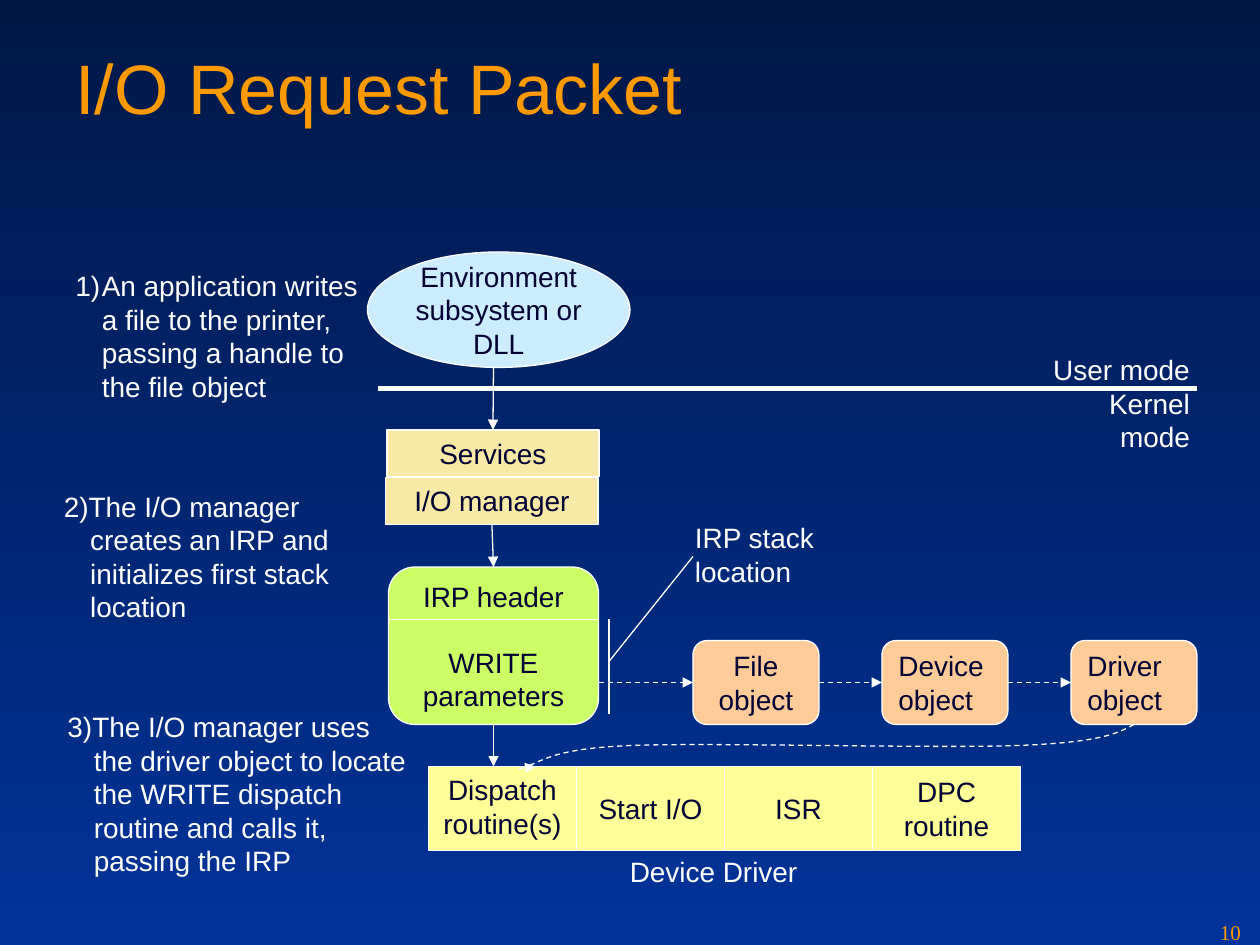
from dataclasses import dataclass
from typing import Optional

import pptx
import pptx.dml.color
import pptx.enum.dml
import pptx.enum.shapes
import pptx.enum.text
import pptx.oxml
import pptx.oxml.ns
import pptx.util

COLORS = {
    "night": "001746", "blue": "003399", "orange": "FE9900", "white": "FFFFFF",
    "ink": "000033", "sky": "CCECFF", "sand": "F9E9A7", "lime": "CCFF66",
    "peach": "FFCC99", "yellow": "FFFF99",
}
CELL = pptx.util.Inches(10) / 120
SHAPE = pptx.enum.shapes.MSO_SHAPE
ALIGN = pptx.enum.text.PP_ALIGN
ANCHOR = pptx.enum.text.MSO_ANCHOR
TOP, LEFT, BOTTOM, RIGHT = range(4)


@dataclass
class Block:
    text: str
    col: float
    row: float
    cols: float
    rows: float
    fill: str
    kind: int = SHAPE.RECTANGLE
    align: int = ALIGN.CENTER
    anchor: int = ANCHOR.MIDDLE
    wrap: bool = True


@dataclass
class Label:
    text: str
    col: float
    row: float
    cols: float
    rows: float
    align: int = ALIGN.LEFT
    hanging: bool = False


@dataclass
class Link:
    start: tuple
    end: tuple
    arrow: bool = False
    dashed: bool = False
    width: float = 0.75
    begin_at: Optional[tuple] = None
    end_at: Optional[tuple] = None


def grid(*cells: float) -> list:
    return [pptx.util.Emu(round(cell * CELL)) for cell in cells]


def color(name: str):
    return pptx.dml.color.RGBColor.from_string(COLORS[name])


def style_text(frame, ink: str, align: int, size: float = 16, face: str = "Arial") -> None:
    for paragraph in frame.paragraphs:
        paragraph.alignment = align
        for run in paragraph.runs:
            run.font.size = pptx.util.Pt(size)
            run.font.name = face
            run.font.color.rgb = color(ink)


def style_line(line, width: float = 0.75, dashed: bool = False, arrow: bool = False) -> None:
    line.color.rgb = color("white")
    line.width = pptx.util.Pt(width)
    if dashed:
        line.dash_style = pptx.enum.dml.MSO_LINE.DASH
    if arrow:
        tail = pptx.oxml.parse_xml(
            f'<a:tailEnd {pptx.oxml.ns.nsdecls("a")} type="triangle"/>')
        line._get_or_add_ln().append(tail)


def add_block(slide, block: Block):
    shape = slide.shapes.add_shape(
        block.kind, *grid(block.col, block.row, block.cols, block.rows))
    shape.shadow.inherit = False
    shape.fill.solid()
    shape.fill.fore_color.rgb = color(block.fill)
    style_line(shape.line)
    frame = shape.text_frame
    frame.text = block.text
    frame.word_wrap = block.wrap
    frame.vertical_anchor = block.anchor
    style_text(frame, "ink", block.align)
    return shape


def add_label(slide, label: Label):
    box = slide.shapes.add_textbox(*grid(label.col, label.row, label.cols, label.rows))
    frame = box.text_frame
    frame.text = label.text
    frame.word_wrap = False
    frame.auto_size = pptx.enum.text.MSO_AUTO_SIZE.SHAPE_TO_FIT_TEXT
    if label.hanging:
        properties = frame.paragraphs[0]._p.get_or_add_pPr()
        properties.set("marL", str(pptx.util.Inches(0.21)))
        properties.set("indent", str(-pptx.util.Inches(0.21)))
    style_text(frame, "white", label.align)
    return box


def number_steps(box) -> None:
    properties = box.text_frame.paragraphs[0]._p.get_or_add_pPr()
    namespace = pptx.oxml.ns.nsdecls("a")
    for bullet in (
        f'<a:buClr {namespace}><a:srgbClr val="{COLORS["white"]}"/></a:buClr>',
        f'<a:buFont {namespace} typeface="Arial"/>',
        f'<a:buAutoNum {namespace} type="arabicParenR"/>',
    ):
        properties.append(pptx.oxml.parse_xml(bullet))


def add_link(slide, link: Link) -> None:
    connector = slide.shapes.add_connector(
        pptx.enum.shapes.MSO_CONNECTOR.STRAIGHT, *grid(*link.start, *link.end))
    if link.begin_at:
        connector.begin_connect(*link.begin_at)
    if link.end_at:
        connector.end_connect(*link.end_at)
    style_line(connector.line, link.width, link.dashed, link.arrow)
    connector._element.spPr.append(
        pptx.oxml.parse_xml(f'<a:effectLst {pptx.oxml.ns.nsdecls("a")}/>'))


def add_curve(slide, start: tuple, bends: list, steps: int = 12) -> None:
    points = []
    here = start
    for first, second, end in bends:
        for step in range(1, steps + 1):
            t = step / steps
            weights = ((1 - t) ** 3, 3 * t * (1 - t) ** 2, 3 * t * t * (1 - t), t ** 3)
            corners = (here, first, second, end)
            points.append(grid(*(sum(w * c[axis] for w, c in zip(weights, corners))
                                 for axis in (0, 1))))
        here = end
    builder = slide.shapes.build_freeform(*grid(*start))
    builder.add_line_segments(points, close=False)
    curve = builder.convert_to_shape()
    curve.shadow.inherit = False
    curve.fill.background()
    style_line(curve.line, dashed=True, arrow=True)


def main() -> None:
    deck = pptx.Presentation()
    deck.slide_width, deck.slide_height = grid(120, 90)
    slide = deck.slides.add_slide(deck.slide_layouts[5])
    backdrop = slide.background.fill
    backdrop.gradient()
    backdrop.gradient_angle = 270
    for stop, name in zip(backdrop.gradient_stops, ("night", "blue")):
        stop.color.rgb = color(name)

    title = slide.shapes.title
    title.left, title.top, title.width, title.height = grid(6, 2.88, 108, 15)
    title.text_frame.text = "I/O Request Packet"
    title.text_frame.vertical_anchor = ANCHOR.TOP
    title.text_frame.margin_top = pptx.util.Inches(0.11)
    style_text(title.text_frame, "orange", ALIGN.LEFT, 40)

    add_block(slide, Block("Environment\vsubsystem or\vDLL", 35, 24, 25, 11, "sky",
                           SHAPE.OVAL, wrap=False))
    services, manager = [
        add_block(slide, Block(text, col, row, 20.2, 4.44, "sand", anchor=ANCHOR.TOP))
        for text, col, row in (("Services", 36.85, 40.95), ("I/O manager", 36.75, 45.5))]
    packet = add_block(slide, Block("IRP header\nWRITE\nparameters", 37, 54, 20, 15, "lime",
                                    SHAPE.ROUNDED_RECTANGLE, wrap=False))
    packet.text_frame.paragraphs[1].space_before = pptx.util.Pt(18.4)
    add_link(slide, Link((37, 59), (57, 59)))

    file_object, device_object, driver_object = [
        add_block(slide, Block(f"{owner}\vobject", 66 + 18 * index, 61, 12, 8, "peach",
                               SHAPE.ROUNDED_RECTANGLE, align, wrap=False))
        for index, (owner, align) in enumerate((
            ("File", ALIGN.CENTER), ("Device", ALIGN.LEFT), ("Driver", ALIGN.LEFT)))]
    routines = ("Dispatch\vroutine(s)", "Start I/O", "ISR", "DPC routine")
    for index, routine in enumerate(routines):
        anchor = ANCHOR.MIDDLE if index else ANCHOR.TOP
        add_block(slide, Block(routine, 40.8 + 14.1 * index, 73, 14.1, 8, "yellow",
                               anchor=anchor))

    for link in (
        Link((57, 65), (66, 65), True, True, end_at=(file_object, LEFT)),
        Link((78, 65), (84, 65), True, True, 0.75, (file_object, RIGHT), (device_object, LEFT)),
        Link((96, 65), (102, 65), True, True, 0.75, (device_object, RIGHT), (driver_object, LEFT)),
        Link((47, 35), (47, 41), True, end_at=(services, TOP)),
        Link((47, 50), (47, 54), True, begin_at=(manager, BOTTOM), end_at=(packet, TOP)),
        Link((47, 69), (47, 73), True, begin_at=(packet, BOTTOM)),
        Link((58, 59), (58, 68)),
        Link((66, 53), (58, 63)),
        Link((36, 37), (114, 37), width=3),
    ):
        add_link(slide, link)
    add_curve(slide, (108, 69), [
        ((106.5, 69.8), (105, 70.7), (97, 71)),
        ((89, 71.3), (67.8, 70.7), (60, 71)),
        ((52.2, 71.3), (51.5, 72.7), (50, 73)),
        ((48.5, 73.3), (49.8, 73.2), (51, 73)),
    ])

    first_step, *_ = [add_label(slide, label) for label in (
        Label("An application writes\va file to the printer,\vpassing a handle to\v"
              "the file object", 6, 25, 29.3, 14, hanging=True),
        Label("2)The I/O manager\vcreates an IRP and\vinitializes first stack\vlocation",
              4.9, 46, 30.7, 14, hanging=True),
        Label("3)The I/O manager uses\vthe driver object to locate\vthe WRITE dispatch\v"
              "routine and calls it,\vpassing the IRP", 5.25, 67, 36.2, 17.3, hanging=True),
        Label("IRP stack\vlocation", 65, 49, 13.8, 7.7),
        Label("Device Driver", 58.8, 80.8, 18.4, 4.44),
        Label("User mode\nKernel mode", 97.1, 33, 17.4, 7.7, ALIGN.RIGHT),
    )]
    number_steps(first_step)

    page_number = slide.shapes.add_textbox(*grid(115, 87, 5, 3)).text_frame
    page_number.text = "10"
    page_number.word_wrap = True
    style_text(page_number, "orange", ALIGN.LEFT, 12, "Times New Roman")
    deck.save("out.pptx")


if __name__ == "__main__":
    main()
